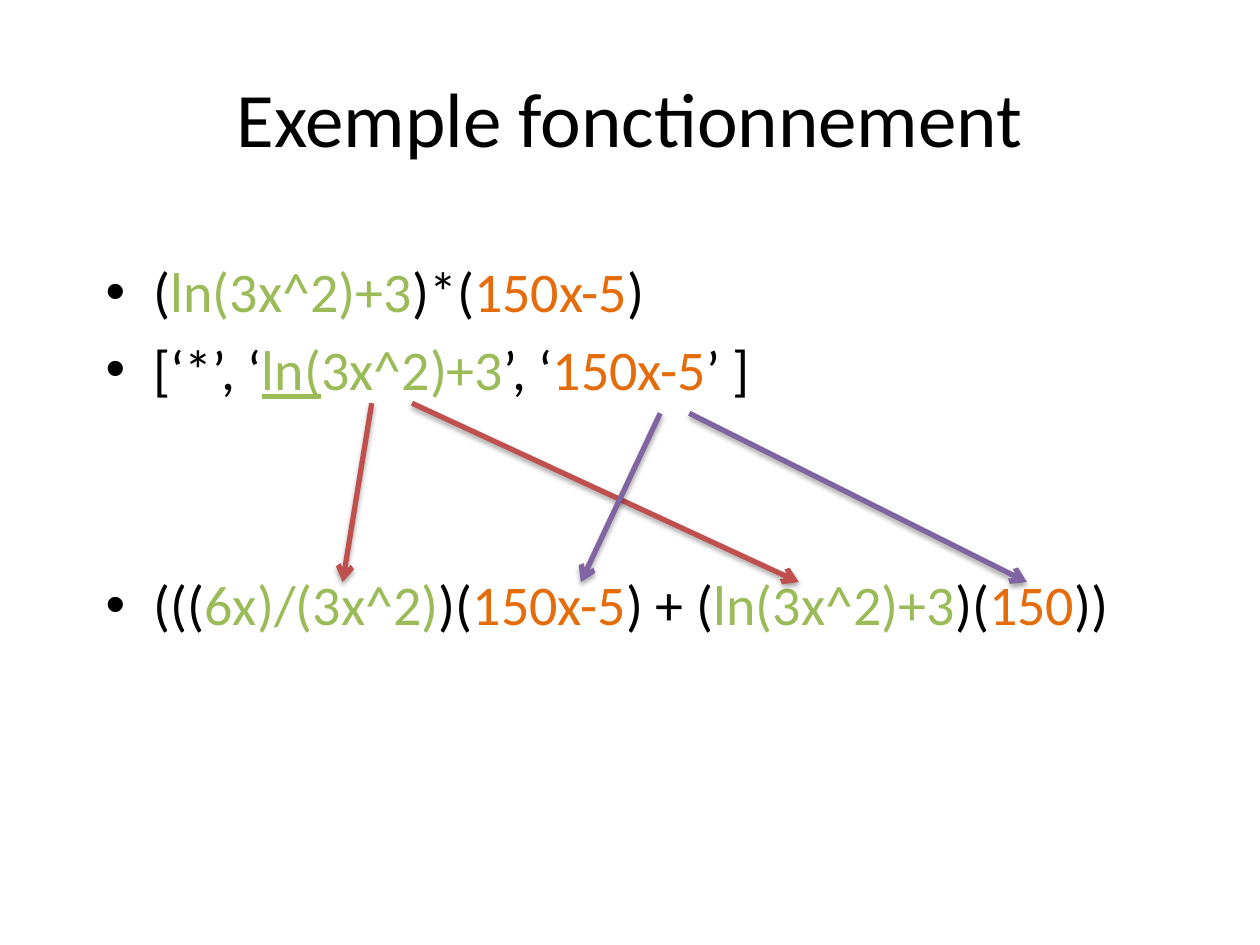
from dataclasses import dataclass

from lxml import etree
from pptx import Presentation
from pptx.dml.color import RGBColor
from pptx.enum.shapes import MSO_CONNECTOR
from pptx.enum.text import MSO_ANCHOR, PP_ALIGN
from pptx.oxml.ns import qn
from pptx.slide import Slide
from pptx.text.text import TextFrame
from pptx.util import Inches, Pt

STRAIGHT = MSO_CONNECTOR.STRAIGHT
MIDDLE = MSO_ANCHOR.MIDDLE
CENTER = PP_ALIGN.CENTER


@dataclass(frozen=True)
class Theme:
    font: str = "Calibri"
    title_size: int = 44
    body_size: int = 32
    arrow_width: int = 3
    text: str = "000000"
    first_factor: str = "9BBB59"
    second_factor: str = "E46C0A"
    first_arrow: str = "C0504D"
    second_arrow: str = "8064A2"


THEME = Theme()


@dataclass(frozen=True)
class Piece:
    text: str
    color: str = THEME.text
    underline: bool = False


@dataclass(frozen=True)
class Formula:
    pieces: tuple[Piece, ...]
    space_before: int = 0


@dataclass(frozen=True)
class Arrow:
    start: tuple[float, float]
    end: tuple[float, float]
    color: str


def first(text: str, underline: bool = False) -> Piece:
    return Piece(text, THEME.first_factor, underline)


def second(text: str) -> Piece:
    return Piece(text, THEME.second_factor)


FORMULAS = (
    Formula((Piece("("), first("ln(3x^2)+3"), Piece(")*("), second("150x-5"), Piece(")"))),
    Formula(
        (Piece("[‘*’, ‘"), first("ln(", underline=True), first("3x^2)+3"),
         Piece("’, ‘"), second("150x-5"), Piece("’ ]")),
        space_before=6,
    ),
    Formula(
        (Piece("((("), first("6x)/(3x^2)"), Piece(")("), second("150x-5"), Piece(") + ("),
         first("ln(3x^2)+3"), Piece(")("), second("150"), Piece("))")),
        space_before=96,
    ),
)

ARROW_END = 4.62
ARROWS = (
    Arrow((2.95, 3.2), (2.72, ARROW_END), THEME.first_arrow),
    Arrow((3.27, 3.2), (6.34, ARROW_END), THEME.first_arrow),
    Arrow((5.24, 3.28), (4.61, ARROW_END), THEME.second_arrow),
    Arrow((5.47, 3.28), (8.15, ARROW_END), THEME.second_arrow),
)


def add_text_box(slide: Slide, left: float, top: float, width: float, height: float) -> TextFrame:
    shape = slide.shapes.add_textbox(Inches(left), Inches(top), Inches(width), Inches(height))
    shape.text_frame.word_wrap = True
    return shape.text_frame


def add_title(slide: Slide, text: str) -> None:
    text_frame = add_text_box(slide, 0.5, 0.3, 9, 1.25)
    text_frame.text = text
    text_frame.vertical_anchor = MIDDLE
    paragraph = text_frame.paragraphs[0]
    paragraph.alignment = CENTER
    font = paragraph.runs[0].font
    font.name = THEME.font
    font.size = Pt(THEME.title_size)
    font.color.rgb = RGBColor.from_string(THEME.text)


def add_formulas(slide: Slide, formulas: tuple[Formula, ...]) -> None:
    text_frame = add_text_box(slide, 0.74, 1.99, 8.83, 4.99)
    for index, formula in enumerate(formulas):
        paragraph = text_frame.add_paragraph() if index else text_frame.paragraphs[0]
        paragraph.space_before = Pt(formula.space_before)
        properties = paragraph._p.get_or_add_pPr()
        properties.set("marL", str(Inches(0.38)))
        properties.set("indent", str(-Inches(0.38)))
        etree.SubElement(properties, qn("a:buFont"), typeface="Arial")
        etree.SubElement(properties, qn("a:buChar"), char="•")
        for piece in formula.pieces:
            run = paragraph.add_run()
            run.text = piece.text
            run.font.name = THEME.font
            run.font.size = Pt(THEME.body_size)
            run.font.underline = piece.underline
            run.font.color.rgb = RGBColor.from_string(piece.color)


def add_arrow(slide: Slide, arrow: Arrow) -> None:
    points = [Inches(value) for value in arrow.start + arrow.end]
    connector = slide.shapes.add_connector(STRAIGHT, *points)
    connector.line.width = Pt(THEME.arrow_width)
    connector.line.color.rgb = RGBColor.from_string(arrow.color)
    properties = connector._element.spPr
    etree.SubElement(properties.find(qn("a:ln")), qn("a:tailEnd"), type="arrow")
    effects = etree.SubElement(properties, qn("a:effectLst"))
    shadow = etree.SubElement(
        effects, qn("a:outerShdw"), blurRad=str(Pt(3.1)), dist=str(Pt(1.8)),
        dir=str(90 * 60000), rotWithShape="0",
    )
    color = etree.SubElement(shadow, qn("a:srgbClr"), val=THEME.text)
    etree.SubElement(color, qn("a:alpha"), val="35000")


def main() -> None:
    presentation = Presentation()
    presentation.slide_width = Inches(10)
    presentation.slide_height = Inches(7.5)
    slide = presentation.slides.add_slide(presentation.slide_layouts[6])
    add_title(slide, "Exemple fonctionnement")
    add_formulas(slide, FORMULAS)
    for arrow in ARROWS:
        add_arrow(slide, arrow)
    presentation.save("out.pptx")


if __name__ == "__main__":
    main()
